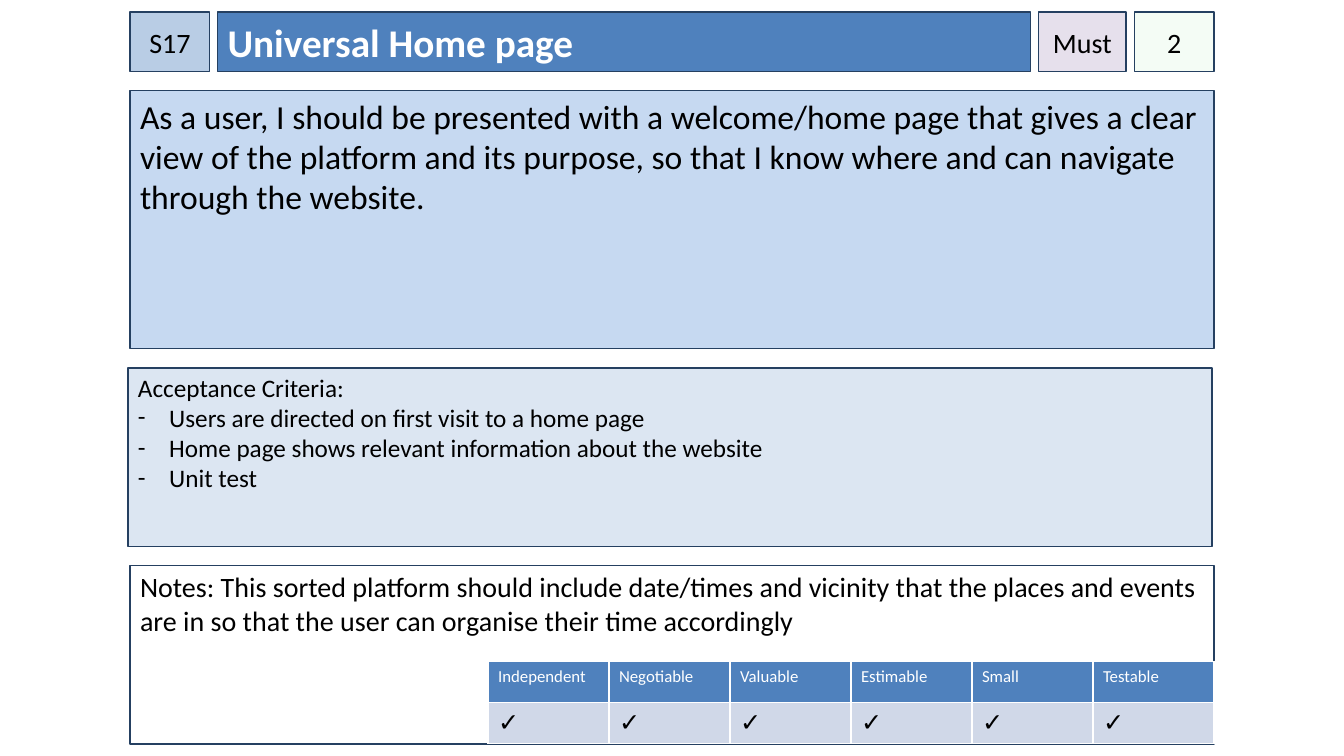
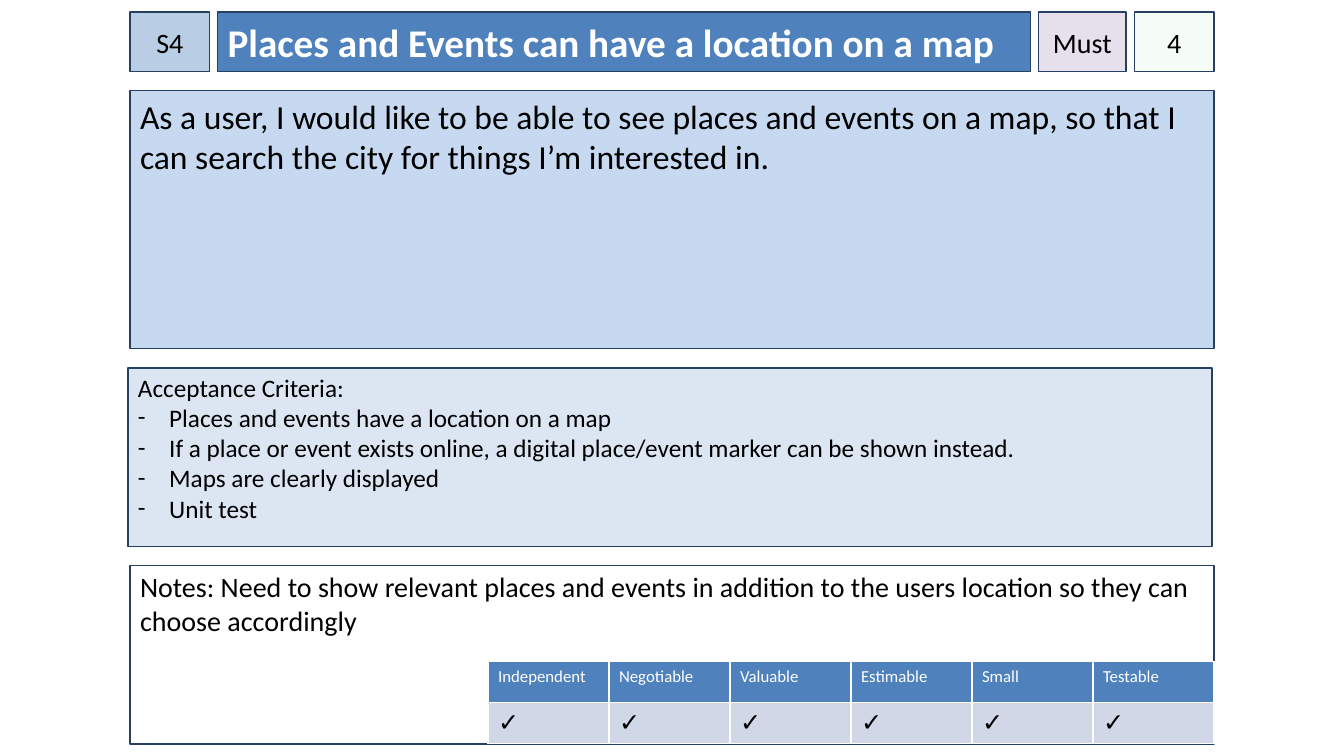
from collections import namedtuple

from lxml import etree
from pptx import Presentation
from pptx.dml.color import RGBColor
from pptx.enum.shapes import MSO_SHAPE
from pptx.enum.text import MSO_ANCHOR, PP_ALIGN
from pptx.oxml.ns import qn
from pptx.util import Inches, Pt

RECTANGLE = MSO_SHAPE.RECTANGLE
TOP, MIDDLE = MSO_ANCHOR.TOP, MSO_ANCHOR.MIDDLE
LEFT, CENTER = PP_ALIGN.LEFT, PP_ALIGN.CENTER

BLACK = RGBColor(0x00, 0x00, 0x00)
WHITE = RGBColor(0xFF, 0xFF, 0xFF)
NAVY = RGBColor(0x25, 0x40, 0x61)
BLUE = RGBColor(0x4F, 0x81, 0xBD)
ID_BLUE = RGBColor(0xB9, 0xCD, 0xE5)
STORY_BLUE = RGBColor(0xC6, 0xD9, 0xF1)
CRITERIA_BLUE = RGBColor(0xDC, 0xE6, 0xF2)
CHECK_BLUE = RGBColor(0xD0, 0xD8, 0xE8)
LILAC = RGBColor(0xE6, 0xE0, 0xEC)
GREEN = RGBColor(0xCC, 0xF0, 0xCD)

FONT = "Calibri"
SLIDE_WIDTH, SLIDE_HEIGHT = 13.33, 7.5
ROW_GAP, CHIP_GAP = 0.19, 0.08
HEADER_HEIGHT, STORY_HEIGHT, PANEL_HEIGHT = 0.59, 2.56, 1.77
CHIP_WIDTH, PRIORITY_WIDTH = 0.79, 0.87
CRITERIA_SHIFT = 0.02
BULLET_INDENT = 0.31
CHECK_WIDTH, CHECK_HEIGHT = 1.2, 0.41
CHECKS = ["Independent", "Negotiable", "Valuable", "Estimable", "Small", "Testable"]
CHIP_INSETS = (0, 0.05, 0, 0.05)
TEXT_INSETS = (0.1, 0.05, 0.1, 0.05)
PANEL_INSETS = (0.1, 0.04, 0.1, 0.05)

Box = namedtuple("Box", "left top width height")
Story = namedtuple("Story", "number title priority points story criteria notes")

CARD = Box(1.29, 0.12, 10.75, 7.26)

STORIES = [
    Story(
        "S17", "Universal Home page", "Must", "2",
        "As a user, I should be presented with a welcome/home page that gives a clear "
        "view of the platform and its purpose, so that I know where and can navigate "
        "through the website.",
        ["Users are directed on first visit to a home page",
         "Home page shows relevant information about the website",
         "Unit test"],
        "This sorted platform should include date/times and vicinity that the places "
        "and events are in so that the user can organise their time accordingly",
    ),
    Story(
        "S4", "Places and Events can have a location on a map", "Must", "4",
        "As a user, I would like to be able to see places and events on a map, so that "
        "I can search the city for things I’m interested in.",
        ["Places and events have a location on a map",
         "If a place or event exists online, a digital place/event marker can be shown instead.",
         "Maps are clearly displayed",
         "Unit test"],
        "Need to show relevant places and events in addition to the users location so "
        "they can choose accordingly",
    ),
]


def write(paragraph, text, size, color=BLACK, bold=False, align=LEFT):
    paragraph.alignment = align
    run = paragraph.add_run()
    run.text = text
    run.font.name = FONT
    run.font.size = Pt(size)
    run.font.bold = bold
    run.font.color.rgb = color


def add_panel(slide, box, fill, insets=TEXT_INSETS, anchor=TOP, wrap=True):
    panel = slide.shapes.add_shape(RECTANGLE, *map(Inches, box))
    panel.shadow.inherit = False
    panel.fill.solid()
    panel.fill.fore_color.rgb = fill
    panel.line.color.rgb = NAVY
    panel.line.width = Pt(1)
    frame = panel.text_frame
    frame.word_wrap = wrap
    frame.vertical_anchor = anchor
    (frame.margin_left, frame.margin_top,
     frame.margin_right, frame.margin_bottom) = map(Inches, insets)
    return panel


def add_chip(slide, box, text, fill, wrap=True):
    chip = add_panel(slide, box, fill, CHIP_INSETS, MIDDLE, wrap)
    write(chip.text_frame.paragraphs[0], text, 20, align=CENTER)
    return chip


def make_translucent(shape, percent):
    color = shape.fill._xPr.find(qn("a:solidFill"))[0]
    etree.SubElement(color, qn("a:alpha"), val=str(percent * 1000))


def add_bullet(paragraph):
    properties = paragraph._p.get_or_add_pPr()
    properties.set("marL", str(Inches(BULLET_INDENT)))
    properties.set("indent", str(-Inches(BULLET_INDENT)))
    etree.SubElement(properties, qn("a:buFont"), typeface=FONT)
    etree.SubElement(properties, qn("a:buChar"), char="-")


def add_header(slide, box, story):
    title_width = box.width - 2 * CHIP_WIDTH - PRIORITY_WIDTH - 3 * CHIP_GAP
    widths = [CHIP_WIDTH, title_width, PRIORITY_WIDTH, CHIP_WIDTH]
    cells, left = [], box.left
    for width in widths:
        cells.append(Box(left, box.top, width, box.height))
        left += width + CHIP_GAP
    number_box, title_box, priority_box, points_box = cells

    add_chip(slide, number_box, story.number, ID_BLUE)
    title = add_panel(slide, title_box, BLUE, anchor=MIDDLE)
    write(title.text_frame.paragraphs[0], story.title, 28, WHITE, bold=True)
    add_chip(slide, priority_box, story.priority, LILAC, wrap=False)
    points = add_chip(slide, points_box, story.points, GREEN)
    make_translucent(points, 20)


def add_story(slide, box, text):
    panel = add_panel(slide, box, STORY_BLUE)
    write(panel.text_frame.paragraphs[0], text, 24)


def add_criteria(slide, box, criteria):
    frame = add_panel(slide, box, CRITERIA_BLUE, PANEL_INSETS).text_frame
    write(frame.paragraphs[0], "Acceptance Criteria:", 18)
    for criterion in criteria:
        paragraph = frame.add_paragraph()
        add_bullet(paragraph)
        write(paragraph, criterion, 18)


def outline_cell(cell):
    properties = cell._tc.get_or_add_tcPr()
    for index, side in enumerate(("a:lnL", "a:lnR", "a:lnT", "a:lnB")):
        line = etree.Element(qn(side), w=str(Pt(1)))
        fill = etree.SubElement(line, qn("a:solidFill"))
        etree.SubElement(fill, qn("a:srgbClr"), val=str(WHITE))
        properties.insert(index, line)


def add_checklist(slide, box):
    columns = len(CHECKS)
    table = slide.shapes.add_table(2, columns, *map(Inches, box)).table
    for column in table.columns:
        column.width = Inches(box.width / columns)
    rows = [(CHECKS, 12, WHITE, BLUE), (["✓"] * columns, 18, BLACK, CHECK_BLUE)]
    for row, (labels, size, color, fill) in enumerate(rows):
        table.rows[row].height = Inches(box.height / len(rows))
        for column, label in enumerate(labels):
            cell = table.cell(row, column)
            cell.fill.solid()
            cell.fill.fore_color.rgb = fill
            outline_cell(cell)
            write(cell.text_frame.paragraphs[0], label, size, color)


def add_notes(slide, box, text):
    panel = add_panel(slide, box, WHITE, PANEL_INSETS)
    write(panel.text_frame.paragraphs[0], "Notes: " + text, 20)
    width, height = CHECK_WIDTH * len(CHECKS), CHECK_HEIGHT * 2
    add_checklist(slide, Box(box.left + box.width - width,
                             box.top + box.height - height, width, height))


def add_story_card(slide, box, story):
    rows, top = [], box.top
    for height in (HEADER_HEIGHT, STORY_HEIGHT, PANEL_HEIGHT, PANEL_HEIGHT):
        rows.append(Box(box.left, top, box.width, height))
        top += height + ROW_GAP
    header_box, story_box, criteria_box, notes_box = rows
    add_header(slide, header_box, story)
    add_story(slide, story_box, story.story)
    shifted = criteria_box._replace(left=box.left - CRITERIA_SHIFT)
    add_criteria(slide, shifted, story.criteria)
    add_notes(slide, notes_box, story.notes)


def main():
    deck = Presentation()
    deck.slide_width = Inches(SLIDE_WIDTH)
    deck.slide_height = Inches(SLIDE_HEIGHT)
    blank = deck.slide_layouts[6]
    for story in STORIES:
        add_story_card(deck.slides.add_slide(blank), CARD, story)
    deck.save("out.pptx")


if __name__ == "__main__":
    main()
